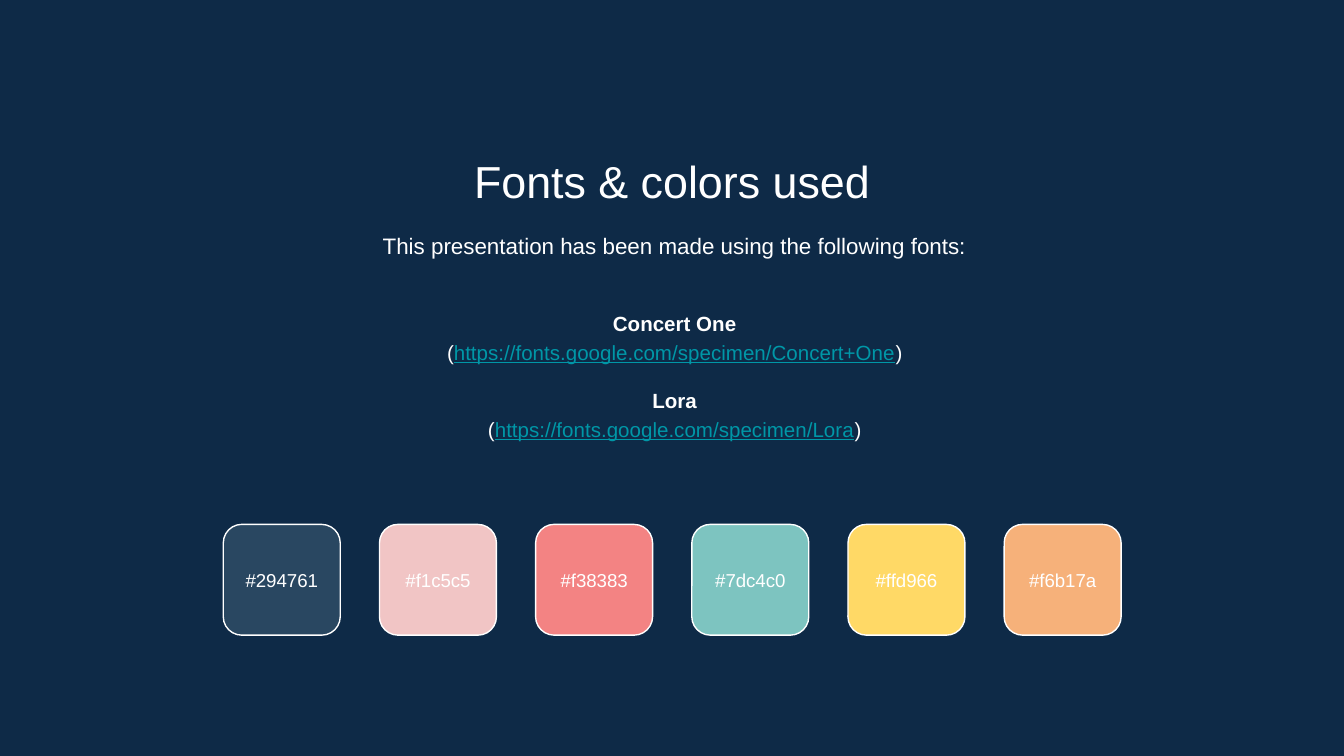
"""Build a slide that lists the fonts and colour swatches of a presentation."""
from dataclasses import dataclass

from pptx import Presentation
from pptx.dml.color import RGBColor
from pptx.enum.shapes import MSO_SHAPE
from pptx.enum.text import MSO_ANCHOR, PP_ALIGN
from pptx.util import Inches, Pt

ROUNDED = MSO_SHAPE.ROUNDED_RECTANGLE
CENTER = PP_ALIGN.CENTER
TOP, MIDDLE = MSO_ANCHOR.TOP, MSO_ANCHOR.MIDDLE

COLUMNS, ROWS = 100, 56.25
CELL = Inches(0.1)
FONT = "Arial"
COLORS = {"background": "0E2A47", "text": "FFFFFF", "link": "0097A7"}
SWATCHES = ["#294761", "#f1c5c5", "#f38383", "#7dc4c0", "#ffd966", "#f6b17a"]
SWATCH_LEFT, SWATCH_PITCH, SWATCH_WIDTH = 16.62, 11.62, 8.7
SWATCH_TOP, SWATCH_HEIGHT = 39.02, 8.24
LABEL_TOP, LABEL_HEIGHT = 40.72, 4.8


@dataclass
class Span:
    text: str
    size: float
    color: str = COLORS["text"]
    bold: bool = False
    underline: bool = False


@dataclass
class Line:
    spans: list[Span]
    spacing: float = 1.15
    before: float = 0


@dataclass
class Area:
    column: float
    row: float
    width: float
    height: float

    def lengths(self) -> list[int]:
        """Give left, top, width and height in slide units."""
        cells = (self.column, self.row, self.width, self.height)
        return [round(value * CELL) for value in cells]


def rgb(color: str) -> RGBColor:
    """Turn a hex string into a colour."""
    return RGBColor.from_string(color.lstrip("#").upper())


def add_text(page, area: Area, lines: list[Line], anchor=TOP) -> None:
    """Place a text box with centred lines on the page."""
    frame = page.shapes.add_textbox(*area.lengths()).text_frame
    frame.word_wrap = True
    frame.vertical_anchor = anchor
    frame.margin_left = frame.margin_right = CELL
    frame.margin_top = frame.margin_bottom = CELL
    for index, line in enumerate(lines):
        para = frame.add_paragraph() if index else frame.paragraphs[0]
        para.alignment = CENTER
        para.line_spacing = line.spacing
        if line.before:
            para.space_before = Pt(line.before)
        for span in line.spans:
            run = para.add_run()
            run.text = span.text
            run.font.name = FONT
            run.font.size = Pt(span.size)
            run.font.bold = span.bold
            run.font.underline = span.underline
            run.font.color.rgb = rgb(span.color)


def add_swatch(page, column: float, color: str) -> None:
    """Draw a rounded swatch with its colour code on top."""
    area = Area(column, SWATCH_TOP, SWATCH_WIDTH, SWATCH_HEIGHT)
    box = page.shapes.add_shape(ROUNDED, *area.lengths())
    box.shadow.inherit = False
    box.fill.solid()
    box.fill.fore_color.rgb = rgb(color)
    box.line.color.rgb = rgb(COLORS["text"])
    box.line.width = Pt(0.75)
    label = Area(column, LABEL_TOP, SWATCH_WIDTH, LABEL_HEIGHT)
    add_text(page, label, [Line([Span(color, 10)], spacing=1)], MIDDLE)


def font_lines(name: str, address: str, before: float = 0) -> list[Line]:
    """Give a bold font name and its bracketed address."""
    link = Span(address, 11, COLORS["link"], underline=True)
    return [
        Line([Span(name, 11, bold=True)], before=before),
        Line([Span("(", 11), link, Span(")", 11)]),
    ]


def main() -> None:
    """Build and save the deck."""
    deck = Presentation()
    deck.slide_width = round(COLUMNS * CELL)
    deck.slide_height = round(ROWS * CELL)
    page = deck.slides.add_slide(deck.slide_layouts[6])
    page.background.fill.solid()
    page.background.fill.fore_color.rgb = rgb(COLORS["background"])

    title = Line([Span("Fonts & colors used", 24)], spacing=1)
    intro = Line([Span("This presentation has been made using the following fonts:", 12)])
    fonts = [
        *font_lines("Concert One", "https://fonts.google.com/specimen/Concert+One"),
        *font_lines("Lora", "https://fonts.google.com/specimen/Lora", before=11),
    ]
    add_text(page, Area(11.45, 10.45, 77.1, 5.3), [title])
    add_text(page, Area(11.65, 15.95, 77.1, 4.8), [intro])
    add_text(page, Area(11.65, 21.02, 77.1, 13.7), fonts, MIDDLE)

    for index, color in enumerate(SWATCHES):
        add_swatch(page, SWATCH_LEFT + index * SWATCH_PITCH, color)

    deck.save("out.pptx")


if __name__ == "__main__":
    main()
